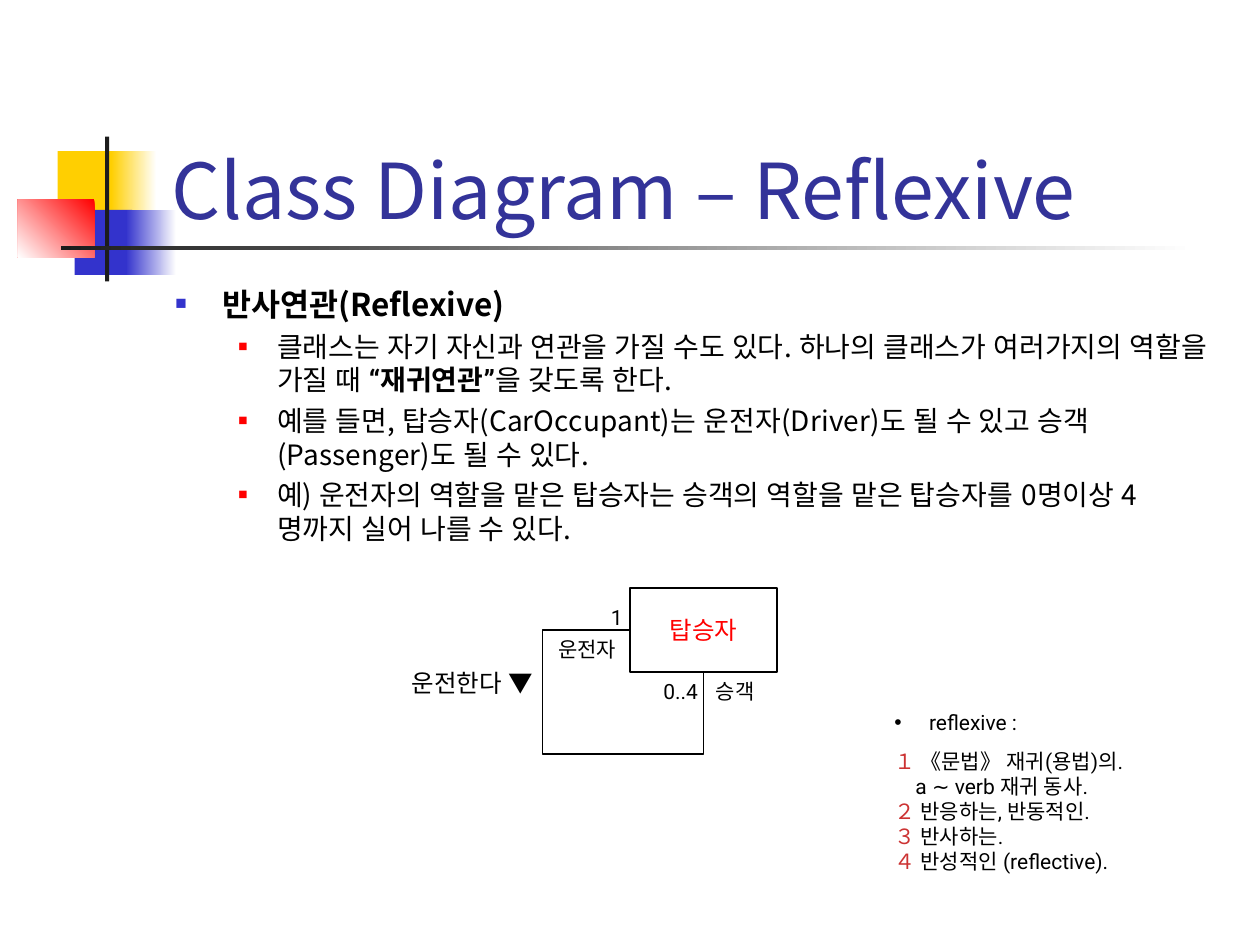
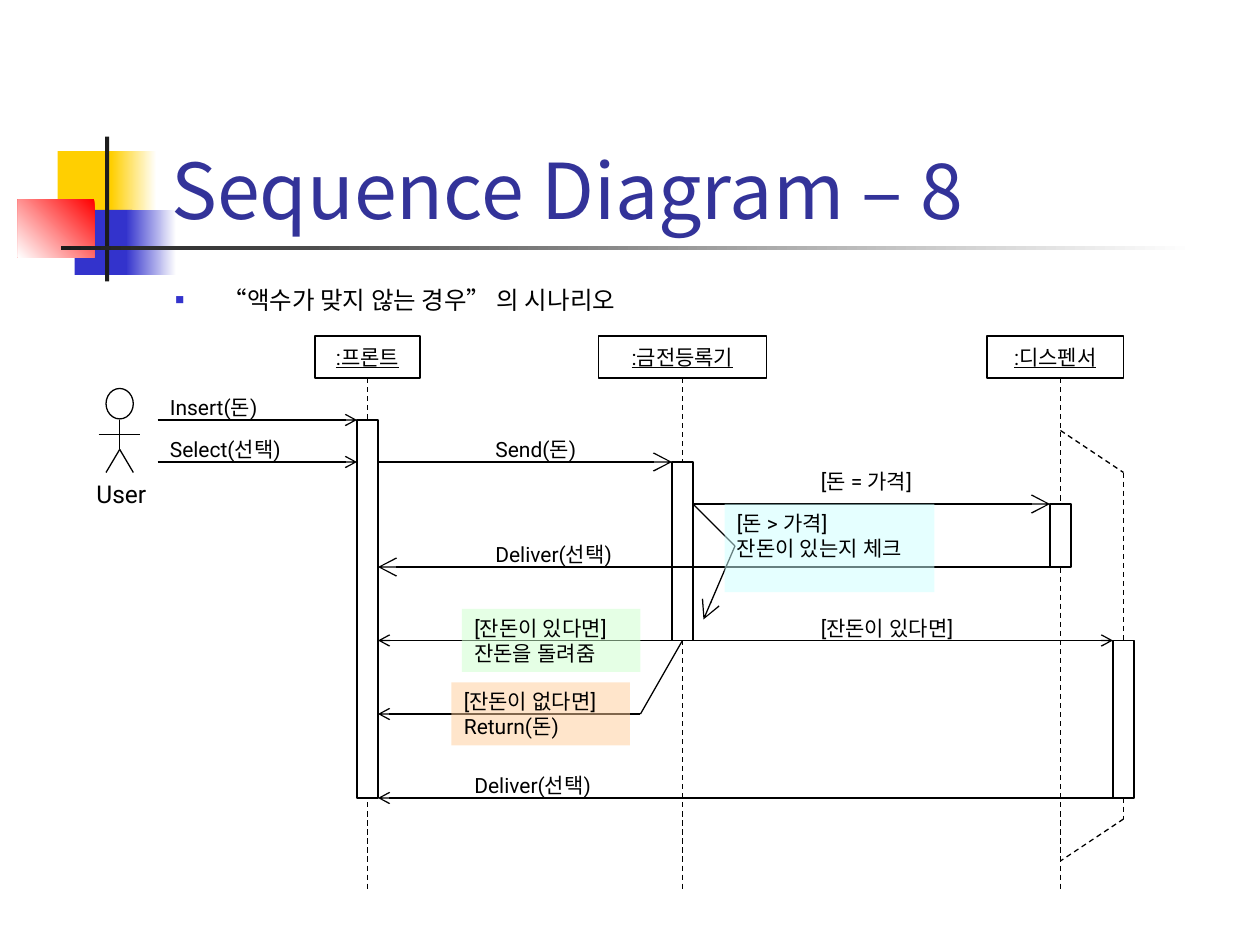
from lxml import etree
from pptx import Presentation
from pptx.dml.color import RGBColor
from pptx.enum import dml, shapes, text
from pptx.oxml.ns import qn
from pptx.util import Pt

PX = 7620  # 120 px to the inch
rgb = RGBColor.from_string
BLACK, WHITE, RED, BLUE = "000000", "FFFFFF", "FF0000", "3333CC"
YELLOW, INK, TITLE, NUMBER = "FFCF01", "1C1C1C", "333399", "CC3333"
HEAD_FONT, LABEL_FONT = "Noto Sans CJK KR", "Roboto"
RECT = shapes.MSO_SHAPE.RECTANGLE


def style(para, size, colour=BLACK, font=LABEL_FONT, before=7.5, margin=0, hang=0,
          bullet=None, asian=None, tracking=0):
    """Format a paragraph; bullet is (character, colour, percent)."""
    para.font.size, para.font.name = Pt(size), font
    para.font.color.rgb = rgb(colour)
    para.space_before = Pt(before)
    props = para._p.get_or_add_pPr()
    props.set("marL", str(margin * PX))
    props.set("indent", str(-hang * PX))
    defaults = props.find(qn("a:defRPr"))
    etree.SubElement(defaults, qn("a:ea"), typeface=asian or font)
    if tracking:
        defaults.set("spc", str(tracking))
    if bullet:
        sign, tint, percent = bullet
        paint = etree.Element(qn("a:buClr"))
        etree.SubElement(paint, qn("a:srgbClr"), val=tint)
        defaults.addprevious(paint)
        for tag, name, value in (("a:buSzPct", "val", str(percent * 1000)),
                                 ("a:buFont", "typeface", "Arial"), ("a:buChar", "char", sign)):
            defaults.addprevious(etree.Element(qn(tag), {name: value}))


def add_line(owner, ends, dash=False, head=None, tail=None, kind=shapes.MSO_CONNECTOR.STRAIGHT):
    """Draw a thin black connector; head and tail give arrow sizes."""
    link = owner.shapes.add_connector(kind, *[v * PX for v in ends])
    link.line.color.rgb, link.line.width = rgb(BLACK), Pt(0.75)
    if dash:
        link.line.dash_style = dml.MSO_LINE.DASH
    stroke = link.line._get_or_add_ln()
    for tag, size in (("a:headEnd", head), ("a:tailEnd", tail)):
        if size:
            etree.SubElement(stroke, qn(tag), type="arrow", w=size, len=size)
    etree.SubElement(link.element.spPr, qn("a:effectLst"))
    return link


deck = Presentation()
deck.slide_width, deck.slide_height = 1200 * PX, 900 * PX
layout = deck.slide_layouts[1]
reflexive, sequence = [deck.slides.add_slide(layout) for _ in range(2)]

# Shared squares and rules, moved behind the layout's placeholders
ornaments = [
    (55, 144, 58, 63, [YELLOW], 0),
    (106, 144, 43, 63, [WHITE, YELLOW], 180),
    (71, 200, 55, 62, [BLUE], 0),
    (120, 200, 48, 62, [WHITE, BLUE], 180),
    (17, 190, 73, 55, [RED, WHITE], 225),
    (100, 130, 4, 138, [INK], 0),
    (58, 234, 1080, 4, [WHITE, INK], 180),
]
for place, (*at, colours, angle) in enumerate(ornaments, start=2):
    mark = reflexive.shapes.add_shape(RECT, *[v * PX for v in at])
    mark.shadow.inherit = False
    mark.line.fill.background()
    if len(colours) == 1:
        mark.fill.solid()
        mark.fill.fore_color.rgb = rgb(colours[0])
    else:
        mark.fill.gradient()
        mark.fill.gradient_angle = angle
        for stop, colour in zip(mark.fill.gradient_stops, colours):
            stop.color.rgb = rgb(colour)
    layout.shapes.element.insert(place, mark.element)

# Titles and lists: each list item is (level, size, space before, spans), bold spans in tuples
outlines = [
    (reflexive, "Class Diagram – Reflexive", 265, [
        (0, 18, 4.5, [("반사연관(Reflexive)",)]),
        (1, 16, 4, ["클래스는 자기 자신과 연관을 가질 수도 있다. 하나의 클래스가 여러가지의 역할을 가질 때 ",
                    ("“재귀연관”",), "을 갖도록 한다."]),
        (1, 16, 4, ["예를 들면, 탑승자(CarOccupant)는 운전자(Driver)도 될 수 있고 "
                    "승객(Passenger)도 될 수 있다."]),
        (1, 16, 4, ["예) 운전자의 역할을 맡은 탑승자는 승객의 역할을 맡은 탑승자를 "
                    "0명이상 4명까지 실어 나를 수 있다."]),
    ]),
    (sequence, "Sequence Diagram – 8", 46, [
        (0, 14, 3.5, ["“액수가 맞지 않는 경우” 의 시나리오"]),
    ]),
]
levels = [(45, 45, ("■", BLUE, 60), HEAD_FONT, 0), (97, 37, ("■", RED, 55), LABEL_FONT, 12)]
for page, heading, height, items in outlines:
    title, body = page.shapes.title, page.placeholders[1]
    for holder, at in ((title, (151, 80, 1022, 150)), (body, (155, 265, 1020, height))):
        holder.left, holder.top, holder.width, holder.height = [v * PX for v in at]
        holder.text_frame.auto_size = text.MSO_AUTO_SIZE.NONE
    title.text_frame.text = heading
    title.text_frame.vertical_anchor = text.MSO_ANCHOR.BOTTOM
    body.text_frame.margin_right = 20 * PX
    para = title.text_frame.paragraphs[0]
    para.alignment = text.PP_ALIGN.LEFT
    style(para, 44, TITLE, HEAD_FONT, 0)
    for index, (level, size, before, spans) in enumerate(items):
        para = body.text_frame.add_paragraph() if index else body.text_frame.paragraphs[0]
        para.level = level
        for words in spans:
            span = para.add_run()
            span.text = "".join(words)
            if isinstance(words, tuple):
                span.font.bold = True
        style(para, size, BLACK, HEAD_FONT, before, *levels[level])

# Lifelines, with the detour of the dispenser
participants = [(":프론트", 300, 100, 350), (":금전등록기", 570, 160, 650), (":디스펜서", 940, 130, 1010)]
lifelines = {name: add_line(sequence, (axis, 360, axis, 850), dash=True)
             for name, x, width, axis in participants}
for ends in ((1010, 410, 1070, 450), (1070, 450, 1070, 780), (1070, 780, 1010, 820)):
    add_line(sequence, ends, dash=True)

# Class box, participants and activation bars
boxes = [(reflexive, 600, 560, 140, 80, "탑승자", 14, RED)]
boxes += [(sequence, x, 320, width, 40, name, 12, BLACK) for name, x, width, axis in participants]
boxes += [(sequence, x, y, 20, height, "", 12, BLACK)
          for x, y, height in ((340, 400, 360), (640, 440, 170), (1000, 480, 60), (1060, 610, 150))]
drawn = {}
for page, *at, name, size, colour in boxes:
    box = page.shapes.add_shape(RECT, *[v * PX for v in at])
    box.shadow.inherit = False
    box.fill.solid()
    box.fill.fore_color.rgb = rgb(WHITE)
    box.line.color.rgb, box.line.width = rgb(BLACK), Pt(0.75)
    if name:
        drawn[name] = box
        box.text_frame.text = name
        box.text_frame.word_wrap = False
        para = box.text_frame.paragraphs[0]
        para.alignment = text.PP_ALIGN.CENTER
        style(para, size, colour, before=0)
        para.font.underline = name in lifelines
for name, x, width, axis in participants:
    if x + width / 2 == axis:
        lifelines[name].begin_connect(drawn[name], 2)

# Association of the class with itself
loop = add_line(reflexive, (600, 600, 670, 640), kind=shapes.MSO_CONNECTOR.ELBOW)
loop.begin_connect(drawn["탑승자"], 1)
loop.end_connect(drawn["탑승자"], 2)
frame = loop.element.spPr.find(qn("a:xfrm"))
for name, value in (("rot", "10800000"), ("flipH", "1"), ("flipV", "1")):
    frame.set(name, value)
geometry = loop.element.spPr.find(qn("a:prstGeom"))
geometry.set("prst", "bentConnector4")
for name, value in (("adj1", -119000), ("adj2", 294700)):
    etree.SubElement(geometry.find(qn("a:avLst")), qn("a:gd"), name=name, fmla=f"val {value}")

# Messages: ends, arrow at the start, arrow at the end
messages = [
    ((150, 400, 340, 400), None, "med"),
    ((150, 440, 340, 440), None, "med"),
    ((360, 440, 640, 440), None, "lg"),
    ((660, 480, 1000, 480), None, "lg"),
    ((1000, 540, 360, 540), None, "lg"),
    ((660, 480, 700, 520), None, None),
    ((700, 520, 670, 590), None, "lg"),
    ((1060, 610, 360, 610), "med", "med"),
    ((650, 610, 610, 680), None, None),
    ((610, 680, 360, 680), None, "med"),
    ((1060, 760, 360, 760), None, "med"),
]
for ends, head, tail in messages:
    add_line(sequence, ends, head=head, tail=tail)

# Stick figure of the user
actor = sequence.shapes.add_group_shape()
face = actor.shapes.add_shape(shapes.MSO_SHAPE.OVAL, *[v * PX for v in (101, 370, 26, 29)])
face.shadow.inherit = False
face.fill.background()
face.line.color.rgb, face.line.width = rgb(BLACK), Pt(0.75)
for ends in ((114, 400, 114, 428), (94, 414, 133, 414), (114, 428, 101, 450), (114, 428, 127, 450)):
    add_line(actor, ends)

# Labels and tinted notes
labels = [
    (reflexive, 380, 630, 160, 41, "운전한다 ▼", 14, None),
    (reflexive, 570, 570, 40, 36, "1", 12, None),
    (reflexive, 620, 640, 60, 36, "0..4", 12, None),
    (reflexive, 520, 600, 90, 36, "운전자", 12, None),
    (reflexive, 670, 640, 90, 36, "승객", 12, None),
    (actor, 80, 450, 80, 41, "User", 14, None),
    (sequence, 150, 370, 150, 36, "Insert(돈)", 12, None),
    (sequence, 150, 410, 180, 36, "Select(선택)", 12, None),
    (sequence, 460, 410, 150, 36, "Send(돈)", 12, None),
    (sequence, 770, 440, 160, 36, "[돈 = 가격]", 12, None),
    (sequence, 460, 510, 180, 36, "Deliver(선택)", 12, None),
    (sequence, 770, 580, 180, 36, "[잔돈이 있다면]", 12, None),
    (sequence, 440, 730, 180, 36, "Deliver(선택)", 12, None),
    (sequence, 690, 480, 200, 84, "[돈 > 가격]\v잔돈이 있는지 체크", 12, "CCFFFF"),
    (sequence, 440, 580, 170, 60, "[잔돈이 있다면]\v잔돈을 돌려줌", 12, "CCFFCC"),
    (sequence, 430, 650, 170, 60, "[잔돈이 없다면]\vReturn(돈)", 12, "FFCC99"),
]
for owner, *at, words, size, tint in labels:
    label = owner.shapes.add_textbox(*[v * PX for v in at])
    label.text_frame.word_wrap = True
    label.text_frame.text = words
    style(label.text_frame.paragraphs[0], size)
    if tint:
        label.fill.solid()
        label.fill.fore_color.rgb = rgb(tint)
        shade = label.element.spPr.find(qn("a:solidFill")).find(qn("a:srgbClr"))
        etree.SubElement(shade, qn("a:alpha"), val="50000")

# Dictionary entry: number, meaning, space before, left margin
glossary = reflexive.shapes.add_textbox(*[v * PX for v in (840, 670, 320, 193)]).text_frame
glossary.word_wrap = True
glossary.text = " reflexive :"
style(glossary.paragraphs[0], 12, margin=28, hang=28, bullet=("•", BLACK, 100))
meanings = [
    ("１", " 《문법》 재귀(용법)의.", 7.5, 0),
    ("", "a ∼ verb 재귀 동사.", 0, 20),
    ("２", " 반응하는, 반동적인.", 0, 0),
    ("３", " 반사하는.", 0, 0),
    ("４", " 반성적인 (reflective).", 0, 0),
]
for number, meaning, before, margin in meanings:
    para = glossary.add_paragraph()
    if number:
        span = para.add_run()
        span.text = number
        span.font.color.rgb = rgb(NUMBER)
    para.add_run().text = meaning
    style(para, 12, before=before, margin=margin)

deck.save("out.pptx")
